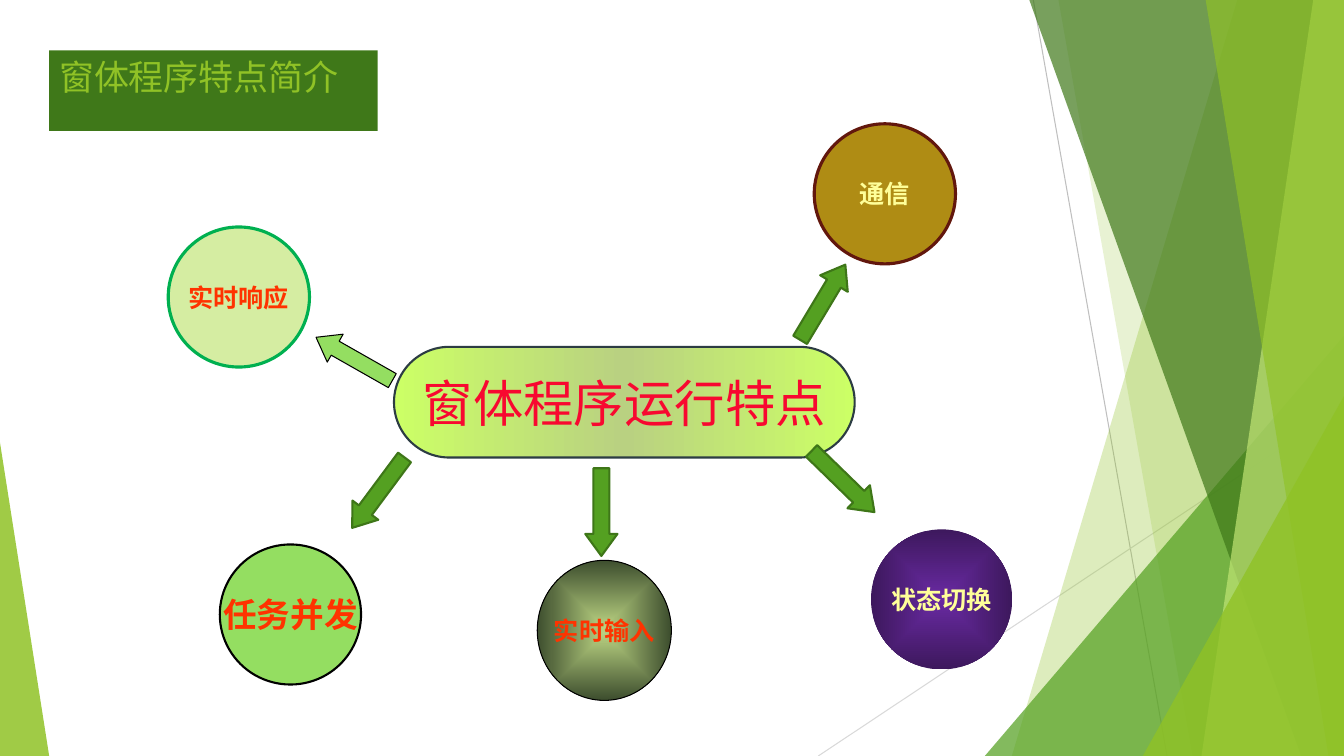
"""Build a slide on the features of window programs."""
from dataclasses import dataclass
from typing import Optional, Union

from lxml import etree
from pptx import Presentation
from pptx import util as u
from pptx.dml.color import RGBColor
from pptx.enum import shapes, text
from pptx.oxml import ns

WHITE = RGBColor(0xFF, 0xFF, 0xFF)
BLACK = RGBColor(0x00, 0x00, 0x00)
LIME = RGBColor(0x90, 0xC2, 0x26)
PALE_LIME = RGBColor(0xC0, 0xE4, 0x74)
GREEN = RGBColor(0x54, 0xA0, 0x21)
DARK_GREEN = RGBColor(0x3F, 0x78, 0x19)
ARROW_EDGE = RGBColor(0x3E, 0x76, 0x18)
LIGHT_GREEN = RGBColor(0x94, 0xDE, 0x61)
MINT = RGBColor(0xD5, 0xED, 0xA2)
EMERALD = RGBColor(0x00, 0xB0, 0x50)
SAGE = RGBColor(0xB9, 0xD1, 0x81)
MOSS = RGBColor(0x3D, 0x4E, 0x2E)
VIOLET = RGBColor(0x69, 0x2A, 0xA2)
DARK_VIOLET = RGBColor(0x3D, 0x18, 0x5D)
NEON = RGBColor(0xCC, 0xFF, 0x66)
SLATE = RGBColor(0x2C, 0x3C, 0x43)
GOLD = RGBColor(0xAF, 0x8C, 0x14)
MAROON = RGBColor(0x62, 0x17, 0x0D)
ORANGE = RGBColor(0xFF, 0x33, 0x00)
CREAM = RGBColor(0xFF, 0xFF, 0x99)
RED = RGBColor(0xF8, 0x08, 0x30)
GREY = RGBColor(0xBF, 0xBF, 0xBF)
LIGHT_GREY = RGBColor(0xD9, 0xD9, 0xD9)

WIDTH, HEIGHT, BAND_TOP = 33.87, 19.05, -0.03
KIND = shapes.MSO_SHAPE


@dataclass
class Gradient:
    colours: tuple
    radial: bool = False


Paint = Union[RGBColor, Gradient]


@dataclass
class Band:
    top_x: float
    bottom_x: float
    colour: RGBColor
    opacity: int


@dataclass
class Corner:
    left: float
    top: float
    width: float
    apex: float
    colour: RGBColor
    opacity: int


@dataclass
class Circle:
    label: str
    left: float
    top: float
    paint: Paint
    ink: RGBColor
    edge: Optional[RGBColor] = None
    weight: float = 0.75
    size: int = 18
    width: float = 3.56


@dataclass
class Arrow:
    left: float
    top: float
    angle: float
    colour: RGBColor = GREEN
    edge: RGBColor = ARROW_EDGE
    weight: float = 1.5


RAYS = [(26.04, 0, 29.41, HEIGHT, GREY), (WIDTH, 10.24, 20.62, HEIGHT, LIGHT_GREY)]
FACETS = [
    Band(31.19, 25.5, LIME, 30),
    Band(26.67, 30.05, LIME, 20),
    Corner(24.82, 8.46, 9.05, 1, GREEN, 72),
    Band(25.93, 32.79, DARK_GREEN, 70),
    Band(33.1, 30.28, PALE_LIME, 70),
    Band(30.38, 33.48, LIME, 65),
    Corner(28.8, 9.98, 5.07, 1, LIME, 80),
    Corner(0, 11.15, 1.24, 0, LIME, 85),
]
CIRCLES = [
    Circle("实时输入", 13.54, 14.12, Gradient((SAGE, MOSS), True), ORANGE, BLACK, width=3.38),
    Circle("状态切换", 21.95, 13.34, Gradient((VIOLET, DARK_VIOLET), True), CREAM),
    Circle("任务并发", 5.54, 13.72, LIGHT_GREEN, ORANGE, BLACK, 1.5, 24),
    Circle("实时响应", 4.24, 5.72, MINT, ORANGE, EMERALD, 2.25),
    Circle("通信", 20.52, 3.12, GOLD, CREAM, MAROON, 2.25),
]
ARROWS = [
    Arrow(19.63, 7.21, 301),
    Arrow(20.14, 11.73, 44.2),
    Arrow(14.05, 12.5, 90),
    Arrow(8.43, 12.01, 126.6),
    Arrow(7.82, 8.64, 209.6, LIGHT_GREEN, BLACK, 0.75),
]


def paint_gradient(shape, gradient: Gradient) -> None:
    """Replace the fill with evenly spaced colour stops."""
    shape.fill.background()
    fill = etree.Element(ns.qn("a:gradFill"), rotWithShape="1")
    stops = etree.SubElement(fill, ns.qn("a:gsLst"))
    for index, colour in enumerate(gradient.colours):
        position = 100000 * index // (len(gradient.colours) - 1)
        stop = etree.SubElement(stops, ns.qn("a:gs"), pos=str(position))
        etree.SubElement(stop, ns.qn("a:srgbClr"), val=str(colour))
    if gradient.radial:
        centre = etree.SubElement(fill, ns.qn("a:path"), {"path": "shape"})
        sides = dict.fromkeys("ltrb", "50000")
        etree.SubElement(centre, ns.qn("a:fillToRect"), sides)
    else:
        etree.SubElement(fill, ns.qn("a:lin"), ang="0", scaled="1")
    properties = shape.element.spPr
    properties.replace(properties.find(ns.qn("a:noFill")), fill)


def style(shape, paint: Paint, edge: Optional[RGBColor] = None,
          weight: float = 0.75, opacity: int = 100) -> None:
    """Set fill, outline and opacity, without a shadow."""
    shape.shadow.inherit = False
    if isinstance(paint, Gradient):
        paint_gradient(shape, paint)
    else:
        shape.fill.solid()
        shape.fill.fore_color.rgb = paint
    if edge is None:
        shape.line.fill.background()
    else:
        shape.line.color.rgb = edge
        shape.line.width = u.Pt(weight)
    if opacity < 100:
        colour = shape.element.spPr.find(ns.qn("a:solidFill"))[0]
        etree.SubElement(colour, ns.qn("a:alpha"), val=str(opacity * 1000))


def add_box(page, kind, left: float, top: float, width: float, height: float):
    """Add a preset shape measured in centimetres."""
    return page.shapes.add_shape(kind, u.Cm(left), u.Cm(top), u.Cm(width), u.Cm(height))


def write(box, label: str, *, size: int, ink: RGBColor, font: str = "Arial", bold: bool = False,
          align=text.PP_ALIGN.CENTER, anchor=text.MSO_ANCHOR.MIDDLE, wrap: bool = False) -> None:
    """Write one formatted line in a shape."""
    frame = box.text_frame
    frame.word_wrap = wrap
    frame.vertical_anchor = anchor
    para = frame.paragraphs[0]
    para.alignment = align
    span = para.add_run()
    span.text = label
    span.font.name, span.font.size, span.font.bold = font, u.Pt(size), bold
    span.font.color.rgb = ink


def draw_ray(page, x1: float, y1: float, x2: float, y2: float, colour: RGBColor) -> None:
    """Draw a thin background line."""
    ray = page.shapes.add_connector(shapes.MSO_CONNECTOR.STRAIGHT, u.Cm(x1), u.Cm(y1), u.Cm(x2), u.Cm(y2))
    ray.line.color.rgb = colour
    ray.line.width = u.Pt(0.75)
    etree.SubElement(ray.element.spPr, ns.qn("a:effectLst"))


def draw_facet(page, facet: Union[Band, Corner]) -> None:
    """Draw a translucent band or corner triangle."""
    if isinstance(facet, Band):
        outline = page.shapes.build_freeform(u.Cm(facet.top_x), u.Cm(BAND_TOP))
        points = [(WIDTH, BAND_TOP), (WIDTH, HEIGHT), (facet.bottom_x, HEIGHT)]
        outline.add_line_segments([(u.Cm(x), u.Cm(y)) for x, y in points], close=True)
        shape = outline.convert_to_shape()
    else:
        shape = add_box(page, KIND.ISOSCELES_TRIANGLE, facet.left, facet.top, facet.width, HEIGHT - facet.top)
        shape.adjustments[0] = facet.apex
    style(shape, facet.colour, opacity=facet.opacity)


def draw_circle(page, circle: Circle) -> None:
    """Draw one labelled feature."""
    box = add_box(page, KIND.OVAL, circle.left, circle.top, circle.width, 3.53)
    style(box, circle.paint, circle.edge, circle.weight)
    write(box, circle.label, size=circle.size, ink=circle.ink, bold=True)


def draw_arrow(page, arrow: Arrow) -> None:
    """Draw one block arrow at its angle."""
    box = add_box(page, KIND.RIGHT_ARROW, arrow.left, arrow.top, 2.21, 0.81)
    box.adjustments[0], box.adjustments[1] = 0.5, 0.685
    box.rotation = arrow.angle
    style(box, arrow.colour, arrow.edge, arrow.weight)


def main() -> None:
    """Compose and save the slide."""
    deck = Presentation()
    deck.slide_width, deck.slide_height = u.Cm(WIDTH), u.Cm(HEIGHT)
    page = deck.slides.add_slide(deck.slide_layouts[6])
    page.background.fill.solid()
    page.background.fill.fore_color.rgb = WHITE
    for ray in RAYS:
        draw_ray(page, *ray)
    for facet in FACETS:
        draw_facet(page, facet)
    for circle in CIRCLES:
        draw_circle(page, circle)
    hub = add_box(page, KIND.ROUNDED_RECTANGLE, 9.93, 8.74, 11.61, 2.79)
    hub.adjustments[0] = 0.5
    style(hub, Gradient((NEON, SAGE, NEON)), SLATE, 1.5)
    write(hub, "窗体程序运行特点", size=36, ink=RED)
    for arrow in ARROWS:
        draw_arrow(page, arrow)
    title = add_box(page, KIND.RECTANGLE, 1.24, 1.27, 8.28, 2.03)
    style(title, DARK_GREEN)
    write(title, "窗体程序特点简介", size=25, ink=LIME, font="Karla", wrap=True,
          align=text.PP_ALIGN.LEFT, anchor=text.MSO_ANCHOR.TOP)
    deck.save("out.pptx")


if __name__ == "__main__":
    main()
